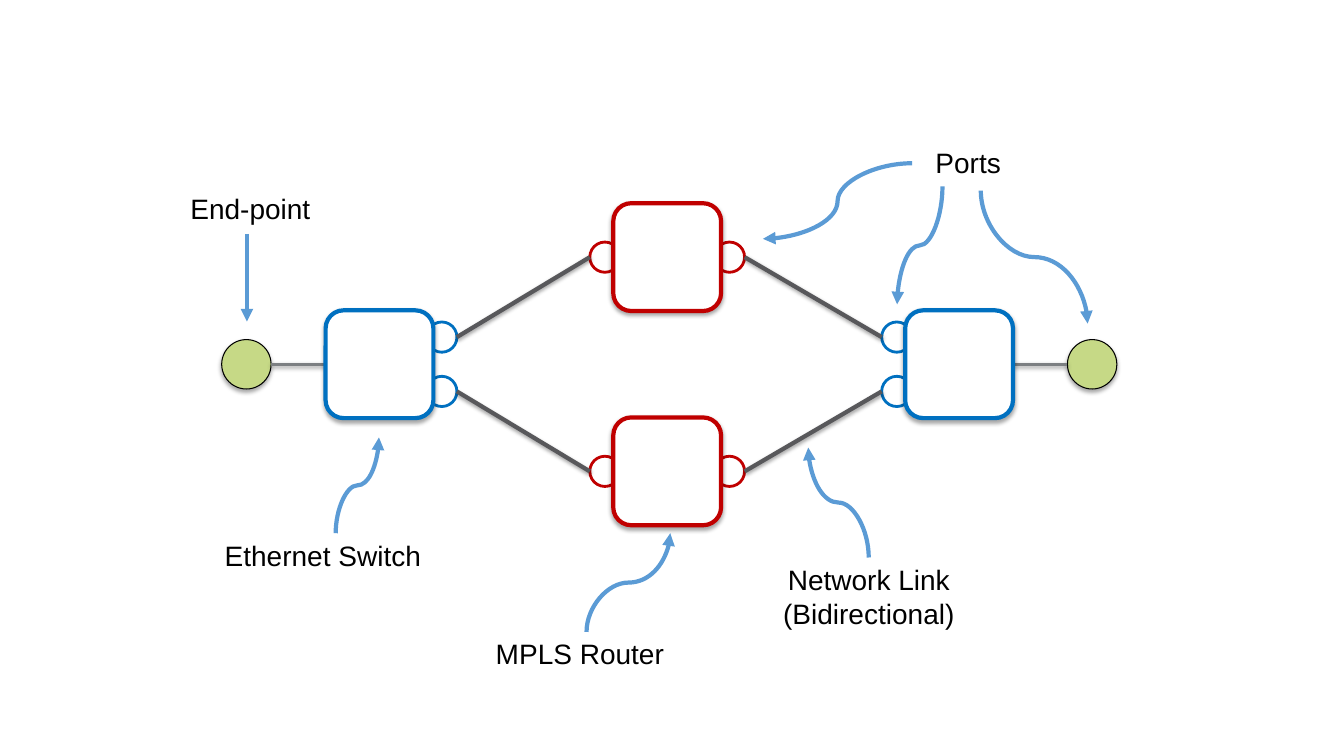
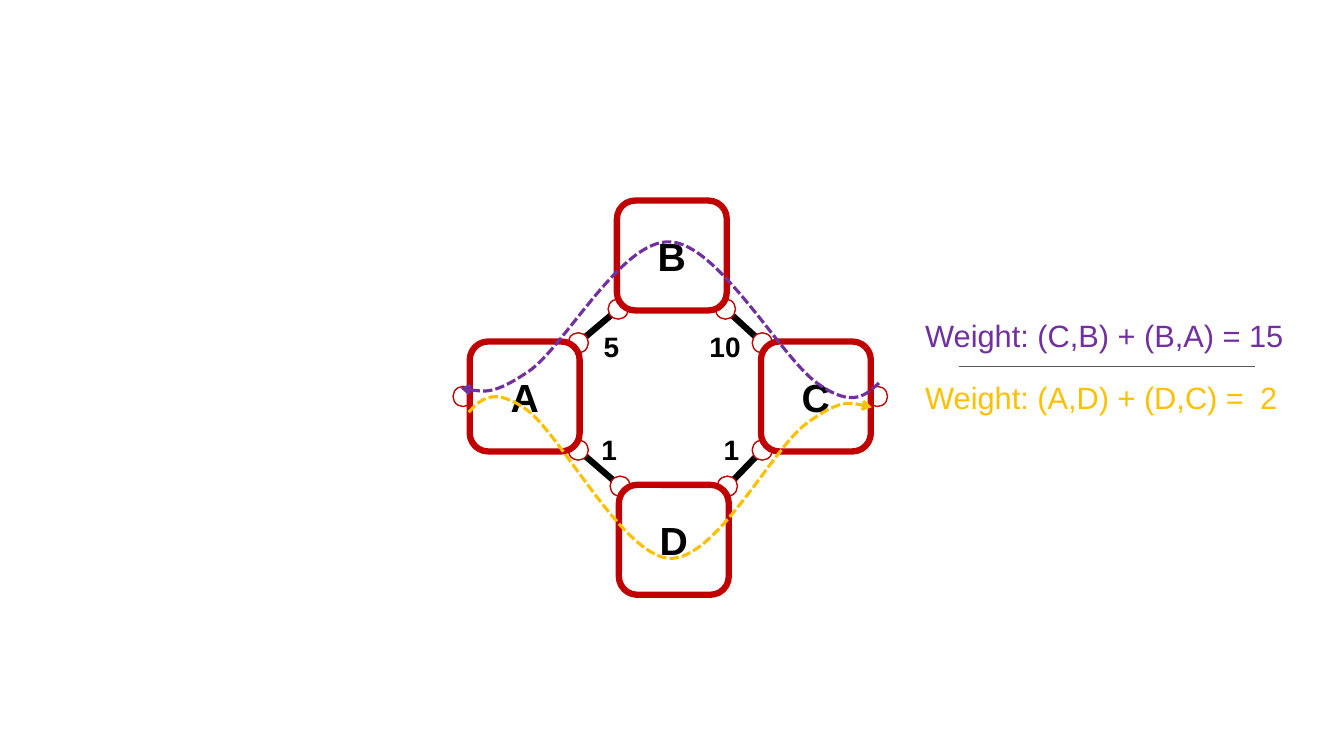
from dataclasses import dataclass

import lxml.etree
import pptx
import pptx.dml.color
import pptx.enum.dml
import pptx.enum.shapes
import pptx.enum.text
import pptx.oxml.ns
import pptx.shapes.autoshape
import pptx.shapes.base
import pptx.shapes.connector
import pptx.slide
import pptx.text.text
import pptx.util

Pt = pptx.util.Pt
RGB = pptx.dml.color.RGBColor
qn = pptx.oxml.ns.qn
SHAPE = pptx.enum.shapes.MSO_SHAPE
CONNECTOR = pptx.enum.shapes.MSO_CONNECTOR
ALIGN = pptx.enum.text.PP_ALIGN
Point = tuple[float, float]

FONT = "Arial"
BLACK = RGB(0x00, 0x00, 0x00)
WHITE = RGB(0xFF, 0xFF, 0xFF)
RED = RGB(0xC0, 0x00, 0x00)
BLUE = RGB(0x00, 0x70, 0xC0)
POINTER_BLUE = RGB(0x5B, 0x9B, 0xD5)
GREEN = RGB(0xC6, 0xD9, 0x86)
DARK_GREY = RGB(0x58, 0x58, 0x5B)
GREY = RGB(0x7C, 0x7F, 0x82)
PURPLE = RGB(0x70, 0x30, 0xA0)
AMBER = RGB(0xFF, 0xC0, 0x00)


@dataclass(frozen=True)
class Node:
    """A square device, placed by its centre."""
    x: float
    y: float
    color: RGB
    ports: tuple[Point, ...]
    name: str = ""

    def port(self, i: int) -> Point:
        dx, dy = self.ports[i]
        return self.x + dx, self.y + dy


@dataclass(frozen=True)
class Label:
    text: str
    x: float
    y: float
    w: float
    h: float = 31.7
    align: ALIGN = ALIGN.LEFT
    bold: bool = False


@dataclass(frozen=True)
class Pointer:
    start: Point
    end: Point
    upright: bool = True


@dataclass(frozen=True)
class Route:
    """A chain of cubic curves: a start, then three points for each curve."""
    color: RGB
    points: tuple[Point, ...]


def add_effects(s: pptx.shapes.base.BaseShape, dist: float = 0, alpha: int = 0) -> None:
    """Give the shape a soft shadow below it, or none when dist is 0."""
    effects = lxml.etree.SubElement(s._element.spPr, qn("a:effectLst"))
    if dist:
        shadow = lxml.etree.SubElement(
            effects, qn("a:outerShdw"), blurRad=str(Pt(3.1)), dist=str(Pt(dist)),
            dir="5400000", rotWithShape="0")
        color = lxml.etree.SubElement(shadow, qn("a:srgbClr"), val=str(BLACK))
        lxml.etree.SubElement(color, qn("a:alpha"), val=str(alpha * 1000))


def add_arrowhead(s: pptx.shapes.base.BaseShape, kind: str) -> None:
    ln = s._element.spPr.find(qn("a:ln"))
    lxml.etree.SubElement(ln, qn("a:tailEnd"), type=kind)


def add_centred(slide: pptx.slide.Slide, kind: SHAPE, center: Point, size: float,
                fill: RGB, line: RGB, width: float,
                shadowed: bool = False) -> pptx.shapes.autoshape.Shape:
    x, y = center
    s = slide.shapes.add_shape(kind, Pt(x - size / 2), Pt(y - size / 2), Pt(size), Pt(size))
    s.fill.solid()
    s.fill.fore_color.rgb = fill
    s.line.color.rgb = line
    s.line.width = Pt(width)
    if shadowed:
        add_effects(s, 1.8, 35)
    else:
        s.shadow.inherit = False
    return s


def add_line(slide: pptx.slide.Slide, start: Point, end: Point, color: RGB, width: float,
             shadowed: bool = False,
             kind: CONNECTOR = CONNECTOR.STRAIGHT) -> pptx.shapes.connector.Connector:
    s = slide.shapes.add_connector(kind, *(Pt(v) for v in (*start, *end)))
    s.line.color.rgb = color
    s.line.width = Pt(width)
    add_effects(s, 1.6 if shadowed else 0, 38)
    return s


def add_pointer(slide: pptx.slide.Slide, pointer: Pointer) -> None:
    """Draw a curved arrow; an upright one is laid flat, then turned by 90 degrees."""
    (x1, y1), (x2, y2) = start, end = pointer.start, pointer.end
    if pointer.upright:
        cx, cy = (x1 + x2) / 2, (y1 + y2) / 2
        start, end = ((cx + y - cy, cy - x + cx) for x, y in (start, end))
    s = add_line(slide, start, end, POINTER_BLUE, 3, kind=CONNECTOR.CURVE)
    if pointer.upright:
        s._element.spPr.find(qn("a:xfrm")).set("rot", "5400000")
    add_arrowhead(s, "triangle")


def add_route(slide: pptx.slide.Slide, route: Route) -> None:
    first, *rest = [(Pt(x), Pt(y)) for x, y in route.points]
    builder = slide.shapes.build_freeform(*first)
    s = builder.add_line_segments(rest, close=False).convert_to_shape()
    s.fill.background()
    s.line.color.rgb = route.color
    s.line.width = Pt(2.25)
    s.line.dash_style = pptx.enum.dml.MSO_LINE.SQUARE_DOT
    s.shadow.inherit = False
    add_arrowhead(s, "arrow")
    outline = next(s._element.iter(qn("a:path")))
    segments = outline.findall(qn("a:lnTo"))
    for i in range(0, len(segments), 3):
        curve = lxml.etree.SubElement(outline, qn("a:cubicBezTo"))
        for segment in segments[i:i + 3]:
            curve.append(segment[0])
            outline.remove(segment)


def set_font(p: pptx.text.text._Paragraph, size: float, color: RGB = BLACK,
             bold: bool = False) -> None:
    p.font.name = FONT
    p.font.size = Pt(size)
    p.font.bold = bold
    p.font.color.rgb = color


def add_text_frame(slide: pptx.slide.Slide, x: float, y: float, w: float,
                   h: float) -> pptx.text.text.TextFrame:
    tf = slide.shapes.add_textbox(Pt(x), Pt(y), Pt(w), Pt(h)).text_frame
    tf.word_wrap = True
    tf.auto_size = pptx.enum.text.MSO_AUTO_SIZE.SHAPE_TO_FIT_TEXT
    return tf


def add_label(slide: pptx.slide.Slide, label: Label) -> None:
    p = add_text_frame(slide, label.x, label.y, label.w, label.h).paragraphs[0]
    p.text = label.text
    p.alignment = label.align
    set_font(p, 20, bold=label.bold)


def add_ports(slide: pptx.slide.Slide, nodes: tuple[Node, ...], size: float,
              width: float) -> None:
    for node in nodes:
        for i in range(len(node.ports)):
            add_centred(slide, SHAPE.OVAL, node.port(i), size, WHITE, node.color, width)


def add_nodes(slide: pptx.slide.Slide, nodes: tuple[Node, ...], size: float, width: float,
              shadowed: bool = False) -> None:
    for node in nodes:
        s = add_centred(slide, SHAPE.ROUNDED_RECTANGLE, (node.x, node.y), size,
                        WHITE, node.color, width, shadowed)
        if node.name:
            p = s.text_frame.paragraphs[0]
            p.text = node.name
            p.alignment = ALIGN.CENTER
            set_font(p, 28, bold=True)


def build_topology(slide: pptx.slide.Slide) -> None:
    box, port, end_point = 77, 21.6, 35.3
    mid_y, reach, rise = 260.2, 44.5, 19.4
    sides = ((-reach, 0), (reach, 0))
    left = Node(271.1, mid_y, BLUE, ((reach, -rise), (reach, rise)))
    right = Node(685.1, mid_y, BLUE, ((-reach, -rise), (-reach, rise)))
    routers = tuple(Node(476.6, mid_y + dy, RED, sides) for dy in (-76.5, 76.5))
    nodes = (left, *routers, right)

    add_ports(slide, nodes, port, 2)
    for i, router in enumerate(routers):
        for (x1, y1), (x2, y2) in ((left.port(i), router.port(0)),
                                   (router.port(1), right.port(i))):
            add_line(slide, (x1 + port / 2, y1), (x2 - port / 2, y2), DARK_GREY, 3, True)
    for x, switch, side in ((176, left, 1), (780.1, right, -1)):
        add_centred(slide, SHAPE.OVAL, (x, mid_y), end_point, GREEN, BLACK, 0.75, True)
        add_line(slide, (x + side * end_point / 2, mid_y),
                 (switch.x - side * box / 2, mid_y), GREY, 2, True)
    add_nodes(slide, nodes, box, 3, True)

    for label in (
        Label("End-point", 128.9, 133.2, 130.3),
        Label("Ethernet Switch", 153.4, 380.9, 172.8),
        Label("MPLS Router", 347, 451.4, 144.7),
        Label("Network Link (Bidirectional)", 546.5, 398.2, 148.3, 55.4, ALIGN.CENTER),
        Label("Ports", 626.4, 100.1, 130.3, align=ALIGN.CENTER),
    ):
        add_label(slide, label)
    for pointer in (
        Pointer((239.8, 380.9), (270.7, 312.5)),
        Pointer((673.2, 133.2), (640.8, 217.4)),
        Pointer((700.6, 136.1), (776.9, 231.1)),
        Pointer((651.6, 116.6), (545, 170.6), upright=False),
        Pointer((419, 451.4), (478.8, 380.9)),
        Pointer((620.6, 398.2), (577.4, 319.7)),
    ):
        add_pointer(slide, pointer)
    add_arrowhead(add_line(slide, (176.4, 167), (176.4, 229.7), POINTER_BLUE, 3), "triangle")


def build_weights(slide: pptx.slide.Slide) -> None:
    corner, reach = 38.3, 44
    b = Node(479.9, 182.5, RED, ((-corner, corner), (corner, corner)), "B")
    d = Node(481.3, 385.6, RED, ((-corner, -corner), (corner, -corner)), "D")
    a = Node(374.8, 283.2, RED, ((corner, -corner), (corner, corner), (-reach, 0)), "A")
    c = Node(582.8, 283.2, RED, ((-corner, -corner), (-corner, corner), (reach, 0)), "C")
    nodes = (b, d, a, c)

    for i, node in enumerate((b, d)):
        add_line(slide, a.port(i), node.port(0), BLACK, 4.5)
        add_line(slide, node.port(1), c.port(i), BLACK, 4.5)
    add_ports(slide, nodes, 14.4, 1)
    add_nodes(slide, nodes, 78.5, 4.5)

    for route in (
        Route(PURPLE, ((627.8, 273.6), (618.5, 282.2), (609.1, 291.6), (584.6, 274.3),
                       (559.4, 257.8), (513.4, 174.2), (478.8, 172.8),
                       (444.2, 170.6), (403.2, 247.7), (378, 265),
                       (352.8, 282.2), (340.6, 279.4), (329, 277.2))),
        Route(AMBER, ((334.8, 294.5), (343.4, 285.1), (352.8, 275.8), (376.6, 293),
                      (400.3, 310.3), (445, 396.7), (478.1, 398.9),
                      (511.2, 400.3), (551.5, 321.1), (575.3, 303.1),
                      (599.8, 285.1), (611.3, 288), (622.8, 290.9))),
    ):
        add_route(slide, route)
    for text, x, y, w in (("5", 424.1, 231.8, 36), ("10", 499.7, 231.8, 50.4),
                          ("1", 422.6, 305.3, 36), ("1", 509.8, 305.3, 38.9)):
        add_label(slide, Label(text, x, y, w, bold=True))

    tf = add_text_frame(slide, 653.8, 222.5, 282.2, 77.8)
    p = tf.paragraphs[0]
    p.text = "Weight: (C,B) + (B,A) = 15"
    set_font(p, 22, PURPLE)
    p = tf.add_paragraph()
    p.text = "Weight: (A,D) + (D,C) =\t2"
    p.space_before = Pt(18)
    tabs = lxml.etree.SubElement(p._p.get_or_add_pPr(), qn("a:tabLst"))
    lxml.etree.SubElement(tabs, qn("a:tab"), pos=str(Pt(251.5)), algn="r")
    set_font(p, 22, AMBER)
    add_line(slide, (684.7, 261.4), (896.4, 261.4), DARK_GREY, 0.5)


def main() -> None:
    prs = pptx.Presentation()
    prs.slide_width, prs.slide_height = Pt(960), Pt(540)
    for build in (build_topology, build_weights):
        build(prs.slides.add_slide(prs.slide_layouts[6]))
    prs.save("out.pptx")


if __name__ == "__main__":
    main()
